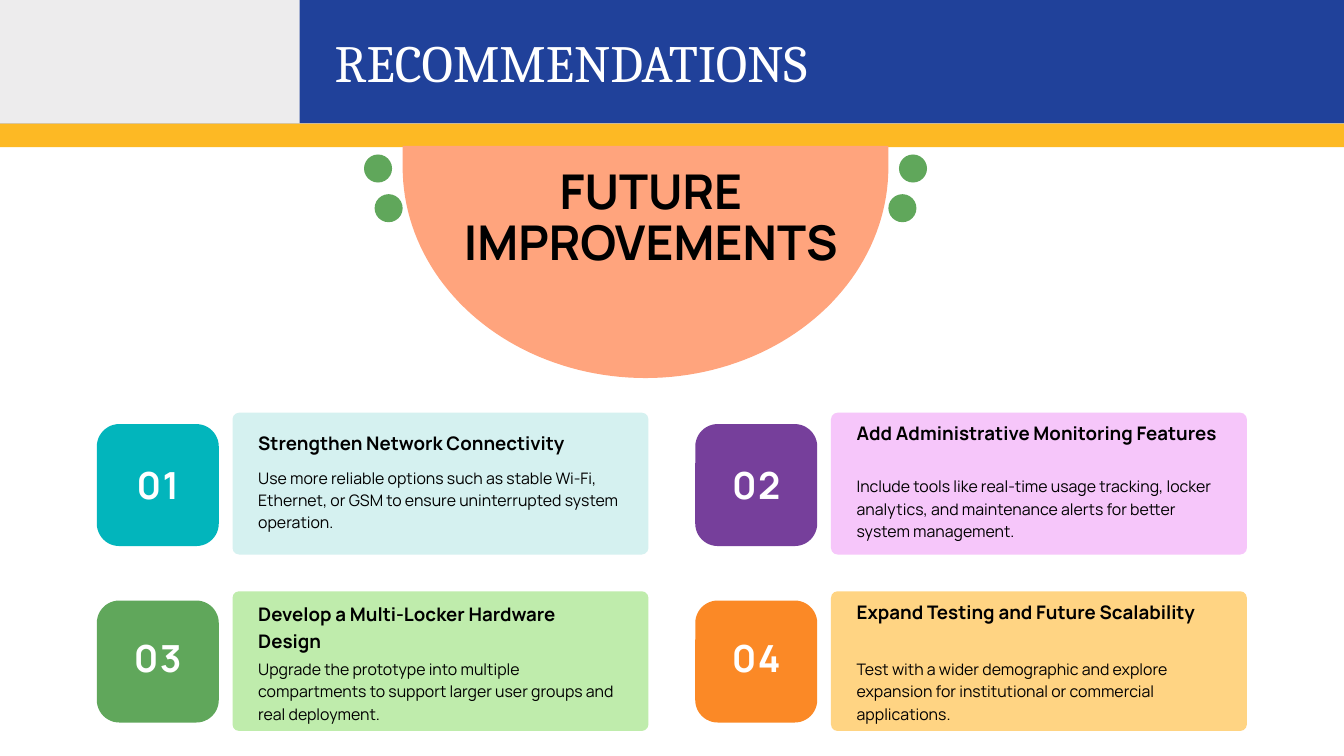
import math

import pptx
import pptx.dml.color
import pptx.enum.shapes
import pptx.enum.text
import pptx.util

Cm = pptx.util.Cm
Pt = pptx.util.Pt
Shape = pptx.enum.shapes.MSO_SHAPE
Align = pptx.enum.text.PP_ALIGN

COLOURS = {
    "blue": "20419A", "grey": "EDECED", "gold": "FDB924", "peach": "FFA47D",
    "green": "60A75B", "pale green": "BFECAC", "teal": "02B5BC",
    "pale teal": "D5F1F0", "purple": "763F9B", "pale purple": "F6C6FA",
    "orange": "FB8926", "pale orange": "FFD483",
    "white": "FFFFFF", "black": "000000",
}


class SlideBuilder:
    """Holds the style and the slide; all lengths are in centimetres."""

    title_font = "Cambria"
    body_font = "Manrope"

    def __init__(self, slide):
        self.slide = slide

    def colour(self, name):
        return pptx.dml.color.RGBColor.from_string(COLOURS[name])

    def paint(self, shape, colour):
        shape.shadow.inherit = False
        shape.fill.solid()
        shape.fill.fore_color.rgb = self.colour(colour)
        shape.line.fill.background()

    def shape(self, kind, left, top, width, height, colour):
        shape = self.slide.shapes.add_shape(
            kind, Cm(left), Cm(top), Cm(width), Cm(height))
        self.paint(shape, colour)
        return shape

    def rounded(self, left, top, width, height, radius, colour):
        shape = self.shape(Shape.ROUNDED_RECTANGLE, left, top, width, height, colour)
        shape.adjustments[0] = radius / min(width, height)

    def half_disc(self, centre, top, middle, radius_x, radius_y, colour):
        """Straight sides from top to middle, then the lower half of an ellipse."""
        steps = 90
        angles = [math.pi * step / steps for step in range(steps + 1)]
        arc = [(Cm(centre + radius_x * math.cos(angle)),
                Cm(middle + radius_y * math.sin(angle))) for angle in angles]
        builder = self.slide.shapes.build_freeform(Cm(centre + radius_x), Cm(top))
        builder.add_line_segments(arc + [(Cm(centre - radius_x), Cm(top))], close=True)
        self.paint(builder.convert_to_shape(), colour)

    def text(self, words, left, top, width, height, size, spacing, colour="black",
             font=body_font, bold=False, align=Align.LEFT, tracking=0):
        box = self.slide.shapes.add_textbox(Cm(left), Cm(top), Cm(width), Cm(height))
        frame = box.text_frame
        frame.word_wrap = True
        frame.margin_left = frame.margin_right = 0
        frame.margin_top = frame.margin_bottom = 0
        paragraph = frame.paragraphs[0]
        paragraph.alignment = align
        paragraph.line_spacing = Pt(spacing)
        run = paragraph.add_run()
        run.text = words
        run.font.name = font
        run.font.size = Pt(size)
        run.font.bold = bold
        run.font.color.rgb = self.colour(colour)
        if tracking:
            run.font._element.set("spc", str(round(tracking * 100)))


def main():
    presentation = pptx.Presentation()
    presentation.slide_width = Cm(50.8)
    presentation.slide_height = Cm(28.575)
    slide = presentation.slides.add_slide(presentation.slide_layouts[6])
    builder = SlideBuilder(slide)

    # Header band
    builder.shape(Shape.RECTANGLE, 0, 0, 50.8, 4.67, "blue")
    builder.shape(Shape.RECTANGLE, 0, 0, 11.33, 4.67, "grey")
    builder.shape(Shape.RECTANGLE, 0, 4.67, 50.8, 0.89, "gold")
    builder.text("RECOMMENDATIONS", 12.65, 1.14, 25.53, 2.67, 56, 67.2,
                 "white", font=SlideBuilder.title_font)

    # Half disc with its heading and mirrored dots
    centre = 24.4
    builder.half_disc(centre, 5.51, 6.32, 9.18, 7.97, "peach")
    builder.text("FUTURE IMPROVEMENTS", 17.25, 6.38, 14.71, 4.01, 51.3, 54.3,
                 bold=True, align=Align.CENTER)
    dot = 1.06
    for offset, top in ((10.11, 5.84), (9.71, 7.34)):
        for side in (-1, 1):
            builder.shape(Shape.OVAL, centre + side * offset - dot / 2, top,
                          dot, dot, "green")

    # Recommendation cards: column, row, hue, heading top and width, body top, texts
    cards = [
        (0, 0, "teal", 16.18, 13.34, 17.58, "Strengthen Network Connectivity",
         "Use more reliable options such as stable Wi-Fi, Ethernet, or GSM "
         "to ensure uninterrupted system operation."),
        (1, 0, "purple", 15.82, 14.73, 17.91, "Add Administrative Monitoring Features",
         "Include tools like real-time usage tracking, locker analytics, "
         "and maintenance alerts for better system management."),
        (0, 1, "green", 22.66, 13.34, 24.82, "Develop a Multi-Locker Hardware Design",
         "Upgrade the prototype into multiple compartments to support "
         "larger user groups and real deployment."),
        (1, 1, "orange", 22.56, 13.34, 24.82, "Expand Testing and Future Scalability",
         "Test with a wider demographic and explore expansion for "
         "institutional or commercial applications."),
    ]
    # Each row: tile top, number top, card top, card height
    rows = [(16.03, 17.17, 15.6, 5.36), (22.7, 23.72, 22.35, 5.28)]
    tile = 4.61
    for number, card in enumerate(cards, 1):
        column, row, hue, heading_top, heading_width, body_top, heading, body = card
        tile_top, number_top, card_top, card_height = rows[row]
        left = 3.66 + 22.62 * column
        builder.rounded(left, tile_top, tile, tile, 0.85, hue)
        builder.rounded(left + 5.13, card_top, 15.72, card_height, 0.25, f"pale {hue}")
        builder.text(f"{number:02}", left, number_top, tile, 1.98, 40, 56, "white",
                     bold=True, align=Align.CENTER, tracking=1.7)
        builder.text(heading, left + 6.1, heading_top, heading_width, 1.98, 20, 28,
                     bold=True)
        builder.text(body, left + 6.1, body_top, 13.84, 2.49, 17, 23.8)

    presentation.save("out.pptx")


if __name__ == "__main__":
    main()
